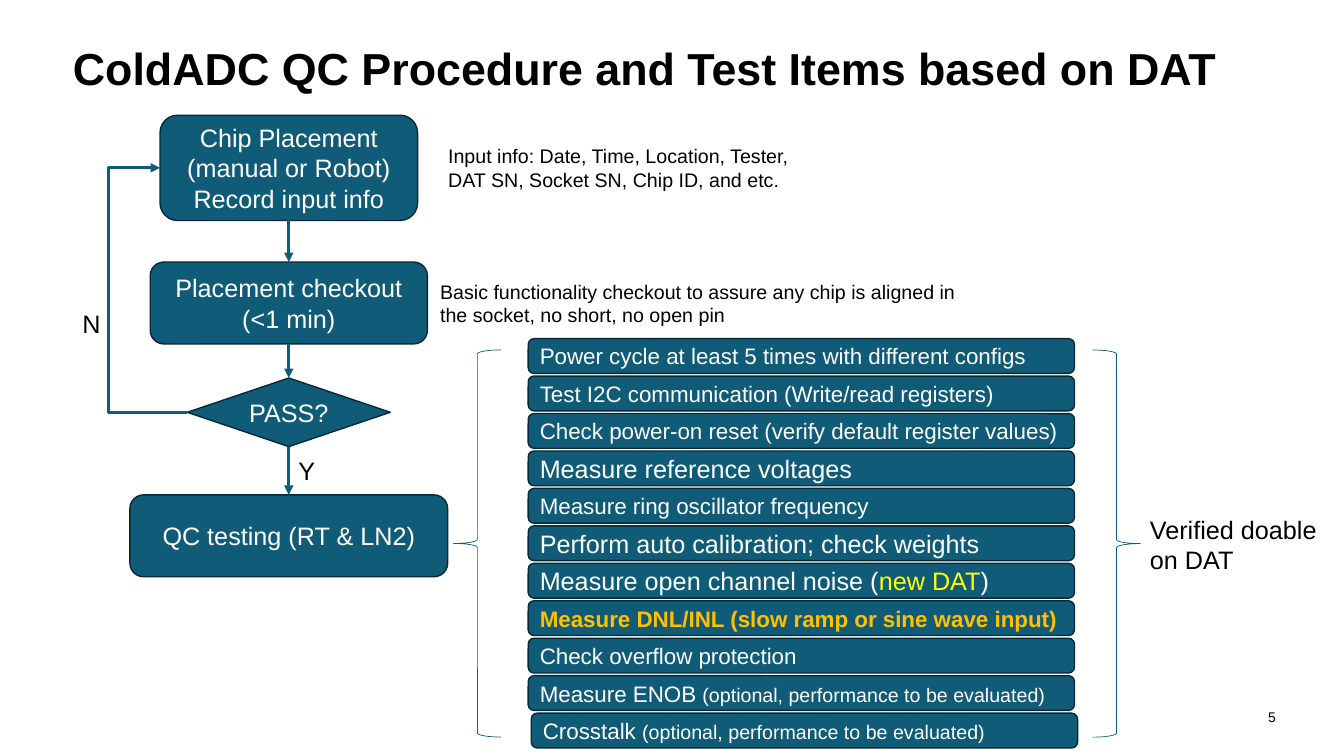
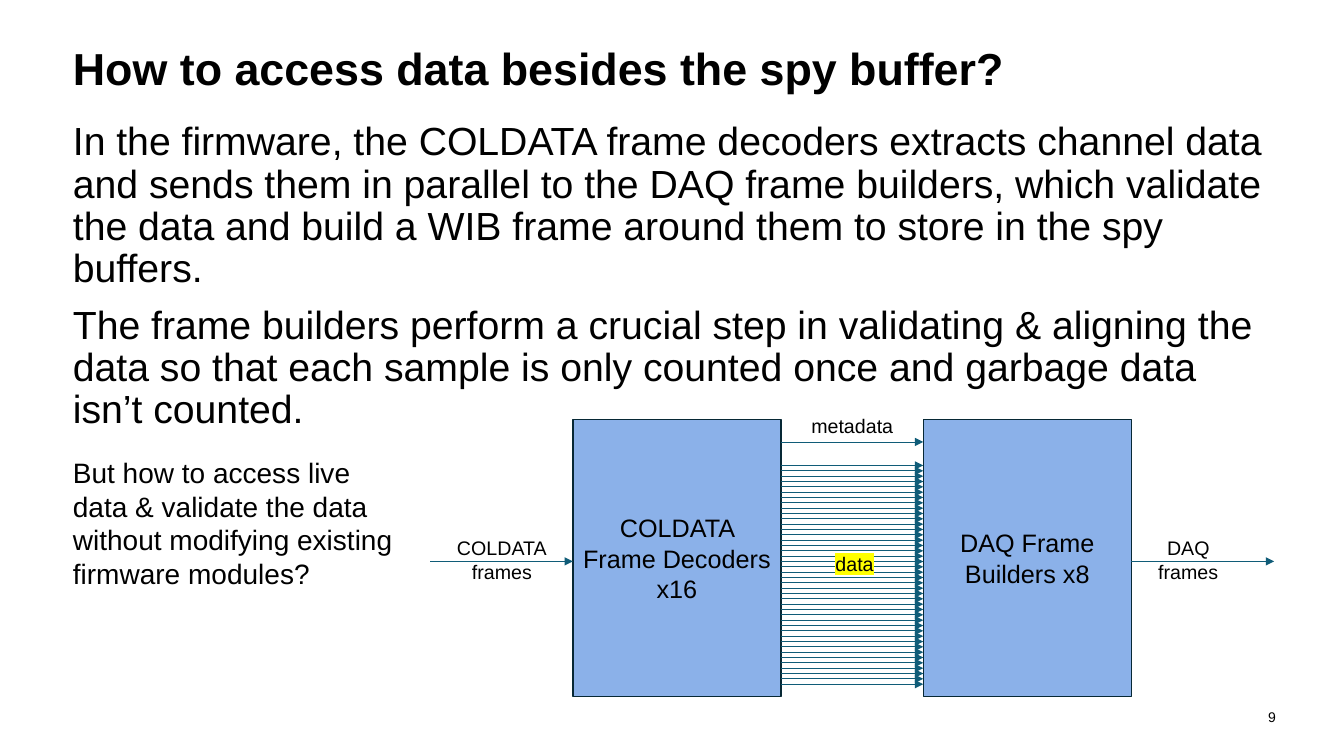
from pptx import Presentation
from pptx.dml.color import RGBColor
from pptx.enum.shapes import MSO_CONNECTOR as CONN, MSO_SHAPE as SHAPE
from pptx.enum.text import MSO_ANCHOR as ANCHOR, PP_ALIGN as ALIGN
from pptx.oxml.ns import qn
from pptx.util import Pt
from lxml.etree import SubElement

# Shared style
FONT = "Arial"
BLACK = RGBColor(0x00, 0x00, 0x00)
WHITE = RGBColor(0xFF, 0xFF, 0xFF)
TEAL = RGBColor(0x10, 0x5C, 0x78)
OUTLINE = RGBColor(0x07, 0x28, 0x35)
SKY = RGBColor(0x8B, 0xB1, 0xE9)
YELLOW = RGBColor(0xFF, 0xFF, 0x00)
AMBER = RGBColor(0xFF, 0xC0, 0x00)

# Connection sites of a shape
TOP, LEFT, BOTTOM, RIGHT = range(4)

OPTIONAL = "(optional, performance to be evaluated)"
# Each test item: its runs as (text, size, colour, bold)
TEST_ITEMS = [
    [("Power cycle at least 5 times with different configs", 16, WHITE, False)],
    [("Test I2C communication (Write/read registers)", 16, WHITE, False)],
    [("Check power-on reset (verify default register values)", 16, WHITE, False)],
    [("Measure reference voltages", 18, WHITE, False)],
    [("Measure ring oscillator frequency", 16, WHITE, False)],
    [("Perform auto calibration; check weights", 18, WHITE, False)],
    [("Measure open channel noise (", 18, WHITE, False),
     ("new DAT", 18, YELLOW, False), (")", 18, WHITE, False)],
    [("Measure DNL/INL (slow ramp or sine wave input)", 16, AMBER, True)],
    [("Check overflow protection", 16, WHITE, False)],
    [("Measure ENOB ", 16, WHITE, False), (OPTIONAL, 14, WHITE, False)],
    [("Crosstalk ", 16, WHITE, False), (OPTIONAL, 14, WHITE, False)],
]


def style_run(r, size, color=BLACK, bold=False):
    r.font.name = FONT
    r.font.size = Pt(size)
    r.font.bold = bold
    r.font.color.rgb = color


def write(sp, text, size, color=BLACK, bold=False, align=ALIGN.LEFT):
    """Fill a shape with text, one paragraph a line."""
    tf = sp.text_frame
    tf.text = text
    for p in tf.paragraphs:
        p.alignment = align
        for r in p.runs:
            style_run(r, size, color, bold)


def add_text(slide, box, text, size, wrap=True, **style):
    sp = slide.shapes.add_textbox(*map(Pt, box))
    sp.text_frame.word_wrap = wrap
    write(sp, text, size, **style)
    return sp


def add_block(slide, kind, box, fill=TEAL):
    sp = slide.shapes.add_shape(kind, *map(Pt, box))
    sp.shadow.inherit = False
    sp.fill.solid()
    sp.fill.fore_color.rgb = fill
    sp.line.color.rgb = OUTLINE
    sp.line.width = Pt(1)
    sp.text_frame.word_wrap = True
    sp.text_frame.vertical_anchor = ANCHOR.MIDDLE
    return sp


def add_brace(slide, left, rotation=0):
    sp = slide.shapes.add_shape(SHAPE.LEFT_BRACE, Pt(left), Pt(250), Pt(34), Pt(276.5))
    sp.shadow.inherit = False
    sp.fill.background()
    sp.line.color.rgb = TEAL
    sp.line.width = Pt(0.5)
    sp.rotation = rotation


def add_arrow(slide, width, points=(0, 0, 0, 0), kind=CONN.STRAIGHT):
    cx = slide.shapes.add_connector(kind, *map(Pt, points))
    cx.line.color.rgb = TEAL
    cx.line.width = Pt(width)
    SubElement(cx.line._get_or_add_ln(), qn("a:tailEnd"), type="triangle")
    SubElement(cx._element.spPr, qn("a:effectLst"))
    return cx


def join(slide, start, start_site, end, end_site, kind=CONN.STRAIGHT):
    cx = add_arrow(slide, 2.25, kind=kind)
    cx.begin_connect(start, start_site)
    cx.end_connect(end, end_site)
    return cx


def set_bend(cx, share):
    """Place the middle leg of an elbow, as a share of its width."""
    guides = cx._element.spPr.find(qn("a:prstGeom")).get_or_add_avLst()
    SubElement(guides, qn("a:gd"), name="adj1", fmla=f"val {round(share * 100000)}")


def highlight(r, color):
    mark = SubElement(r.font._element, qn("a:highlight"))
    SubElement(mark, qn("a:srgbClr"), val=str(color))
    r.font._element.find(qn("a:latin")).addprevious(mark)


def new_slide(prs, title, number):
    slide = prs.slides.add_slide(prs.slide_layouts[6])
    sp = add_text(slide, (45, 29, 870, 44), title, 32, bold=True)
    sp.text_frame.vertical_anchor = ANCHOR.MIDDLE
    sp.text_frame.paragraphs[0].line_spacing = 0.9
    sp = add_text(slide, (881, 497.5, 34, 29), number, 10, align=ALIGN.RIGHT)
    tf = sp.text_frame
    tf.vertical_anchor = ANCHOR.MIDDLE
    tf.margin_left = tf.margin_top = tf.margin_bottom = 0
    tf.margin_right = Pt(3.6)
    return slide


def build_procedure(prs):
    slide = new_slide(prs, "ColdADC QC Procedure and Test Items based on DAT", "5")

    # Flow chart, centred on one axis
    axis = 206.3
    steps = []
    for kind, text, top, width, height in [
        (SHAPE.ROUNDED_RECTANGLE,
         "Chip Placement\n(manual or Robot)\nRecord input info", 82.3, 184, 75.2),
        (SHAPE.ROUNDED_RECTANGLE, "Placement checkout\n(<1 min)", 187.2, 198, 58.5),
        (SHAPE.DIAMOND, "PASS?", 270, 145, 49),
        (SHAPE.ROUNDED_RECTANGLE, "QC testing (RT & LN2)", 353.5, 227, 58.5),
    ]:
        sp = add_block(slide, kind, (axis - width / 2, top, width, height))
        write(sp, text, 18, WHITE, align=ALIGN.CENTER)
        steps.append(sp)
    for upper, lower in zip(steps, steps[1:]):
        join(slide, upper, BOTTOM, lower, TOP)
    retry = join(slide, steps[2], LEFT, steps[0], LEFT, CONN.ELBOW)
    set_bend(retry, 2.88)

    # Labels and remarks
    add_text(slide, (206, 322, 26.5, 29), "Y", 18, wrap=False)
    add_text(slide, (51.8, 216.5, 27, 29), "N", 18, wrap=False)
    add_text(slide, (313, 99.4, 281.5, 41),
             "Input info: Date, Time, Location, Tester, DAT SN, Socket SN, Chip ID, and etc.", 14)
    add_text(slide, (307.3, 196.2, 385, 41),
             "Basic functionality checkout to assure any chip is aligned in the socket, "
             "no short, no open pin", 14)
    add_text(slide, (814.3, 363.6, 139, 51), "Verified doable on DAT", 18)

    # Test items between braces
    add_brace(slide, 324)
    add_brace(slide, 780.5, rotation=180)
    for i, runs in enumerate(TEST_ITEMS):
        left = 379.5 if i == len(TEST_ITEMS) - 1 else 377.3
        bar = add_block(slide, SHAPE.ROUNDED_RECTANGLE, (left, 241.9 + 26.75 * i, 390.2, 24.8))
        p = bar.text_frame.paragraphs[0]
        p.alignment = ALIGN.LEFT
        for text, *style in runs:
            r = p.add_run()
            r.text = text
            style_run(r, *style)


def build_data_access(prs):
    slide = new_slide(prs, "How to access data besides the spy buffer?", "9")

    # Body text
    body = add_text(
        slide, (45, 83.5, 870, 233),
        "In the firmware, the COLDATA frame decoders extracts channel data and sends them in "
        "parallel to the DAQ frame builders, which validate the data and build a WIB frame "
        "around them to store in the spy buffers.\n"
        "The frame builders perform a crucial step in validating & aligning the data so that "
        "each sample is only counted once and garbage data isn’t counted.", 28)
    for p in body.text_frame.paragraphs:
        p.line_spacing = 0.9
    body.text_frame.paragraphs[1].space_before = Pt(10)
    add_text(slide, (45, 322, 249, 104),
             "But how to access live data & validate the data without modifying existing "
             "firmware modules?", 20)

    # Decoder and builder blocks
    width, decoder, builder = 148.6, 409.2, 659.5
    for left, text in [(decoder, "COLDATA Frame Decoders x16"),
                       (builder, "DAQ Frame Builders x8")]:
        sp = add_block(slide, SHAPE.RECTANGLE, (left, 299.5, width, 198), SKY)
        write(sp, text, 18, align=ALIGN.CENTER)

    # Metadata line above 42 parallel data lines
    for y in [315.7] + [332.5 + 3.81 * i for i in range(42)]:
        add_arrow(slide, 0.5, (decoder + width, y, builder, y))

    # Input and output
    for start in (decoder - 102, builder + width):
        add_arrow(slide, 0.5, (start, 401, start + 102, 401))

    # Signal labels
    add_text(slide, (572.4, 292.3, 73.4, 24.2), "metadata", 14, wrap=False)
    data = add_text(slide, (589.7, 390.5, 43, 24.2), "data", 14, wrap=False)
    highlight(data.text_frame.paragraphs[0].runs[0], YELLOW)
    for left, box_width, text in [(319, 79, "COLDATA\nframes"), (820, 57.6, "DAQ\nframes")]:
        add_text(slide, (left, 379.6, box_width, 41), text, 14, wrap=False, align=ALIGN.CENTER)


def main():
    prs = Presentation()
    prs.slide_width, prs.slide_height = Pt(960), Pt(540)
    build_procedure(prs)
    build_data_access(prs)
    prs.save("out.pptx")


if __name__ == "__main__":
    main()
